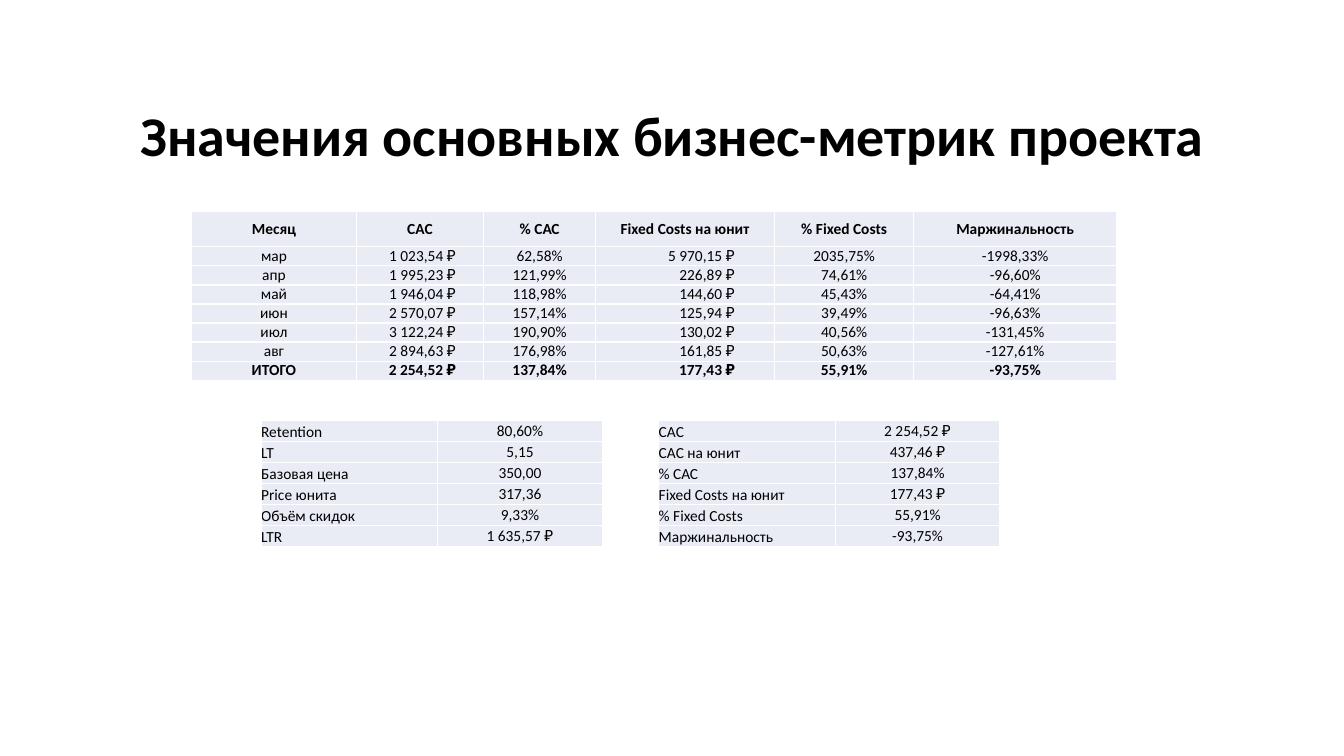
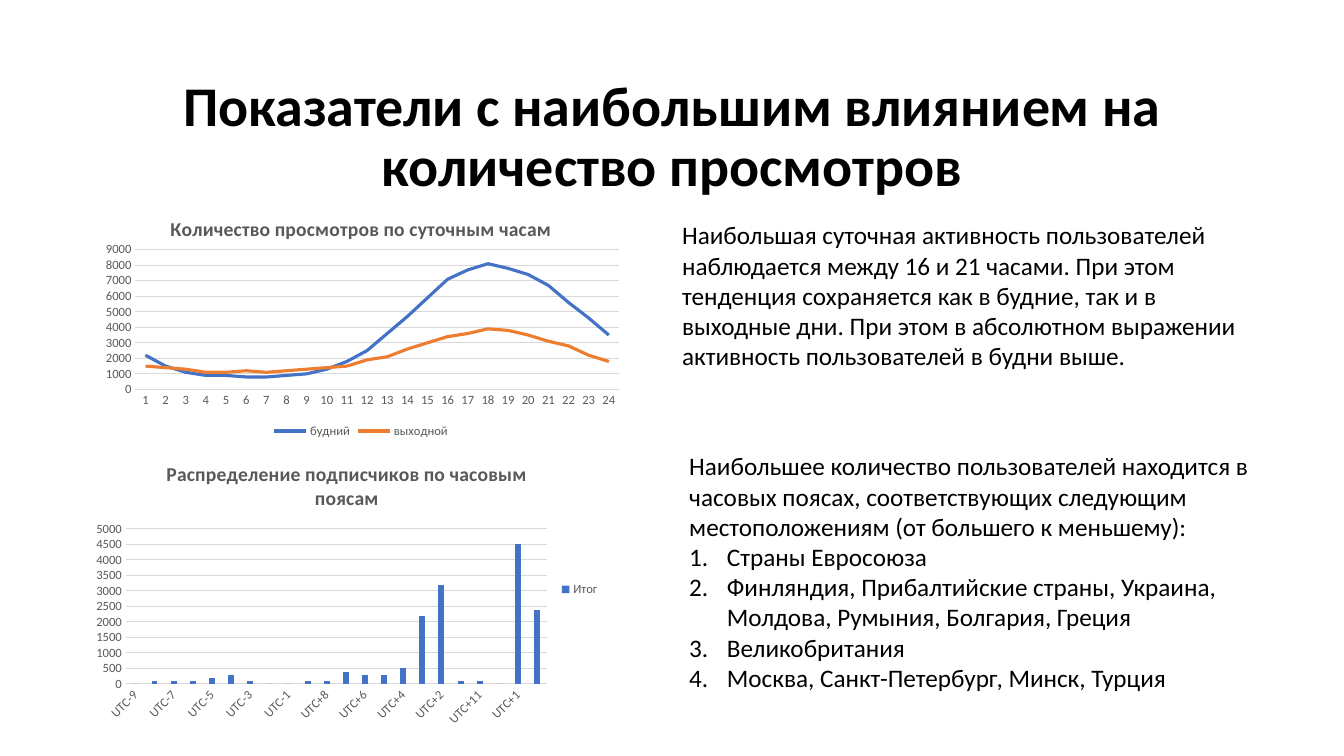
from lxml import etree
from pptx import Presentation
from pptx import util as u
from pptx.chart import data as chart_data
from pptx.dml import color
from pptx.enum import chart as chart_enum
from pptx.enum import text as text_enum
from pptx.oxml import ns

COLORS = {
    "text": "000000", "cell": "E9EBF5", "border": "FFFFFF", "label": "595959",
    "grid": "D9D9D9", "blue": "4472C4", "orange": "ED7D31",
}
FONT = "Calibri"
ALIGN = text_enum.PP_ALIGN
ANCHOR = text_enum.MSO_ANCHOR
LEGEND = chart_enum.XL_LEGEND_POSITION
CHART_TYPE = chart_enum.XL_CHART_TYPE

METRICS = [
    ("Месяц", "CAC", "% САС", "Fixed Costs на юнит", "% Fixed Costs", "Маржинальность"),
    ("мар", "1 023,54 ₽", "62,58%", "5 970,15 ₽", "2035,75%", "-1998,33%"),
    ("апр", "1 995,23 ₽", "121,99%", "226,89 ₽", "74,61%", "-96,60%"),
    ("май", "1 946,04 ₽", "118,98%", "144,60 ₽", "45,43%", "-64,41%"),
    ("июн", "2 570,07 ₽", "157,14%", "125,94 ₽", "39,49%", "-96,63%"),
    ("июл", "3 122,24 ₽", "190,90%", "130,02 ₽", "40,56%", "-131,45%"),
    ("авг", "2 894,63 ₽", "176,98%", "161,85 ₽", "50,63%", "-127,61%"),
    ("ИТОГО", "2 254,52 ₽", "137,84%", "177,43 ₽", "55,91%", "-93,75%"),
]
METRIC_WIDTHS = (4.15, 3.21, 2.82, 4.51, 3.51, 5.11)
CURRENCY_MARGINS = {1: 0.7, 3: 1}
LIFETIME = [
    ("Retention", "80,60%"), ("LT", "5,15"), ("Базовая цена", "350,00"),
    ("Price юнита", "317,36"), ("Объём скидок", "9,33%"), ("LTR", "1 635,57 ₽"),
]
UNIT_COSTS = [
    ("CAC", "2 254,52 ₽"), ("CAC на юнит", "437,46 ₽"), ("% САС", "137,84%"),
    ("Fixed Costs на юнит", "177,43 ₽"), ("% Fixed Costs", "55,91%"),
    ("Маржинальность", "-93,75%"),
]
HOURS = [str(hour) for hour in range(1, 25)]
VIEWS = {
    "будний": [2200, 1500, 1100, 900, 900, 800, 800, 900, 1000, 1300, 1800, 2500,
               3600, 4700, 5900, 7100, 7700, 8100, 7800, 7400, 6700, 5600, 4600, 3500],
    "выходной": [1500, 1400, 1300, 1100, 1100, 1200, 1100, 1200, 1300, 1400, 1500, 1900,
                 2100, 2600, 3000, 3400, 3600, 3900, 3800, 3500, 3100, 2800, 2200, 1800],
}
OFFSETS = (list(range(-9, 0)) + list(range(9, 1, -1)) + [12, 11, 10, 1, 0])
TIME_ZONES = [f"UTC{offset:+d}" for offset in OFFSETS]
SUBSCRIBERS = {
    "Итог": [0, 100, 100, 100, 200, 300, 100, 0, 0, 100, 100, 400, 300, 300, 500,
             2200, 3200, 100, 100, 0, 4500, 2400],
}
ACTIVITY = (
    "Наибольшая суточная активность пользователей наблюдается между 16 и 21 часами. "
    "При этом тенденция сохраняется как в будние, так и в выходные дни. При этом в "
    "абсолютном выражении активность пользователей в будни выше."
)
LOCATIONS_INTRO = (
    "Наибольшее количество пользователей находится в часовых поясах, соответствующих "
    "следующим местоположениям (от большего к меньшему):"
)
LOCATIONS = [
    "Страны Евросоюза",
    "Финляндия, Прибалтийские страны, Украина, Молдова, Румыния, Болгария, Греция",
    "Великобритания",
    "Москва, Санкт-Петербург, Минск, Турция",
]


def rgb(name):
    return color.RGBColor.from_string(COLORS[name])


def apply(target, values):
    for name, value in values.items():
        setattr(target, name, value)


def style_font(font, size, bold=False, color_name="text"):
    apply(font, {"name": FONT, "size": u.Pt(size), "bold": bold})
    font.color.rgb = rgb(color_name)


def cm_box(box):
    return [u.Cm(length) for length in box]


def add_run(paragraph, content, size, bold=False, color_name="text"):
    run = paragraph.add_run()
    run.text = content
    style_font(run.font, size, bold, color_name)


def add_title(slide, content):
    frame = slide.shapes.add_textbox(*cm_box((2.33, 1.65, 29.21, 3.68))).text_frame
    apply(frame, {"word_wrap": True, "vertical_anchor": ANCHOR.MIDDLE})
    paragraph = frame.paragraphs[0]
    apply(paragraph, {"alignment": ALIGN.CENTER, "line_spacing": 0.9})
    add_run(paragraph, content, 40, True)


def add_body(slide, box, intro, numbered=()):
    frame = slide.shapes.add_textbox(*cm_box(box)).text_frame
    apply(frame, {"word_wrap": True,
                  "auto_size": text_enum.MSO_AUTO_SIZE.SHAPE_TO_FIT_TEXT})
    add_run(frame.paragraphs[0], intro, 18)
    for item in numbered:
        paragraph = frame.add_paragraph()
        add_run(paragraph, item, 18)
        properties = paragraph._p.get_or_add_pPr()
        indent = u.Cm(0.95)
        properties.set("marL", str(indent))
        properties.set("indent", str(-indent))
        etree.SubElement(properties, ns.qn("a:buAutoNum"), type="arabicPeriod")


def add_borders(cell):
    properties = cell._tc.get_or_add_tcPr()
    for position, side in enumerate(("lnL", "lnR", "lnT", "lnB")):
        line = etree.Element(ns.qn(f"a:{side}"), w=str(u.Pt(1)))
        fill = etree.SubElement(line, ns.qn("a:solidFill"))
        etree.SubElement(fill, ns.qn("a:srgbClr"), val=COLORS["border"])
        properties.insert(position, line)


def add_table(slide, left, top, widths, heights, rows, cell_format):
    box = cm_box((left, top, sum(widths), sum(heights)))
    table = slide.shapes.add_table(len(rows), len(widths), *box).table
    apply(table, {"first_row": False, "horz_banding": False})
    for column, width in zip(table.columns, widths):
        column.width = u.Cm(width)
    for row, height in zip(table.rows, heights):
        row.height = u.Cm(height)
    for row_index, values in enumerate(rows):
        for column_index, value in enumerate(values):
            cell = table.cell(row_index, column_index)
            alignment, anchor, bold, margin = cell_format(row_index, column_index)
            apply(cell, {"margin_left": 0, "margin_top": 0, "margin_bottom": 0,
                         "margin_right": u.Cm(margin), "vertical_anchor": anchor})
            cell.fill.solid()
            cell.fill.fore_color.rgb = rgb("cell")
            add_borders(cell)
            paragraph = cell.text_frame.paragraphs[0]
            paragraph.alignment = alignment
            add_run(paragraph, value, 11, bold)


def metric_format(row, column):
    header = row == 0
    bold = row in (0, len(METRICS) - 1)
    anchor = ANCHOR.MIDDLE if header or column == 3 else ANCHOR.BOTTOM
    if column in CURRENCY_MARGINS and not header:
        return ALIGN.RIGHT, anchor, bold, CURRENCY_MARGINS[column]
    return ALIGN.CENTER, anchor, bold, 0


def pair_format(row, column):
    if column == 0:
        return ALIGN.LEFT, ANCHOR.BOTTOM, False, 0
    return ALIGN.CENTER, ANCHOR.MIDDLE, False, 0


def set_plot_area(chart, fractions):
    plot_area = chart._chartSpace.chart.plotArea
    for layout in plot_area.findall(ns.qn("c:layout")):
        plot_area.remove(layout)
    layout = etree.Element(ns.qn("c:layout"))
    manual = etree.SubElement(layout, ns.qn("c:manualLayout"))
    settings = [("layoutTarget", "inner"), ("xMode", "edge"), ("yMode", "edge")]
    for tag, value in settings + list(zip("xywh", fractions)):
        etree.SubElement(manual, ns.qn(f"c:{tag}"), val=str(value))
    plot_area.insert(0, layout)


def style_axis(axis):
    axis.major_tick_mark = chart_enum.XL_TICK_MARK.NONE
    style_font(axis.tick_labels.font, 9, color_name="label")


def style_line(line, color_name, width):
    line.color.rgb = rgb(color_name)
    line.width = u.Pt(width)


def add_chart(slide, kind, box, title, categories, values, legend, scale, plot_area):
    data = chart_data.CategoryChartData()
    data.categories = categories
    for name, numbers in values.items():
        data.add_series(name, numbers)
    chart = slide.shapes.add_chart(kind, *cm_box(box), data).chart
    style_font(chart.font, 9, color_name="label")
    apply(chart, {"has_title": True, "has_legend": True})
    add_run(chart.chart_title.text_frame.paragraphs[0], title, 14, True, "label")
    apply(chart.legend, {"position": legend, "include_in_layout": False})
    style_font(chart.legend.font, 9, color_name="label")
    style_axis(chart.category_axis)
    style_axis(chart.value_axis)
    style_line(chart.category_axis.format.line, "grid", 0.75)
    style_line(chart.value_axis.major_gridlines.format.line, "grid", 0.75)
    chart.value_axis.format.line.fill.background()
    maximum, step = scale
    apply(chart.value_axis, {"minimum_scale": 0, "maximum_scale": maximum,
                             "major_unit": step})
    set_plot_area(chart, plot_area)
    return chart


def add_views_chart(slide):
    chart = add_chart(
        slide, CHART_TYPE.LINE, (2.33, 5.08, 13.54, 6.07),
        "Количество просмотров по суточным часам", HOURS, VIEWS,
        LEGEND.BOTTOM, (9000, 1000), (0.08, 0.2, 0.9, 0.58))
    for series, color_name in zip(chart.plots[0].series, ("blue", "orange")):
        series.smooth = False
        style_line(series.format.line, color_name, 2.25)


def add_subscribers_chart(slide):
    chart = add_chart(
        slide, CHART_TYPE.COLUMN_CLUSTERED, (2.11, 11.23, 13.26, 7.24),
        "Распределение подписчиков по часовым поясам", TIME_ZONES, SUBSCRIBERS,
        LEGEND.RIGHT, (5000, 500), (0.08, 0.29, 0.8, 0.54))
    plot = chart.plots[0]
    apply(plot, {"gap_width": 219, "overlap": -27, "vary_by_categories": False})
    fill = plot.series[0].format.fill
    fill.solid()
    fill.fore_color.rgb = rgb("blue")
    label_body = chart.category_axis._element.find(".//" + ns.qn("a:bodyPr"))
    label_body.set("rot", str(-45 * 60000))


def build_metrics_slide(slide):
    add_title(slide, "Значения основных бизнес-метрик проекта")
    heights = [0.89] + [0.48] * (len(METRICS) - 1)
    add_table(slide, 4.83, 5.33, METRIC_WIDTHS, heights, METRICS, metric_format)
    for left, rows in ((6.58, LIFETIME), (16.6, UNIT_COSTS)):
        add_table(slide, left, 10.6, (4.45, 4.15), [0.53] * len(rows), rows, pair_format)


def build_views_slide(slide):
    add_title(slide, "Показатели с наибольшим влиянием на количество просмотров")
    add_views_chart(slide)
    add_body(slide, (16.94, 5.41, 14.63, 4.11), ACTIVITY)
    add_subscribers_chart(slide)
    add_body(slide, (17.12, 11.23, 14.63, 7.19), LOCATIONS_INTRO, LOCATIONS)


def main():
    presentation = Presentation()
    apply(presentation, {"slide_width": u.Cm(33.87), "slide_height": u.Cm(19.05)})
    for build in (build_metrics_slide, build_views_slide):
        build(presentation.slides.add_slide(presentation.slide_layouts[6]))
    presentation.save("out.pptx")


main()
